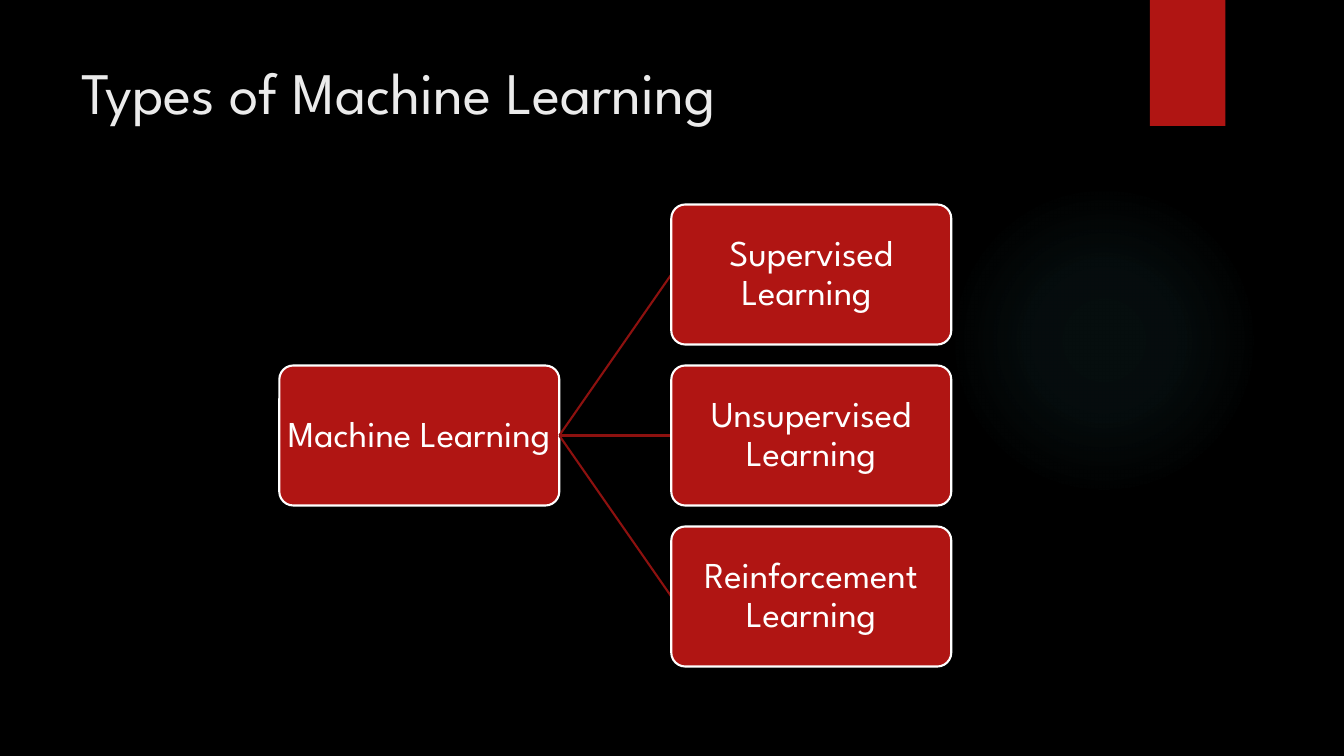
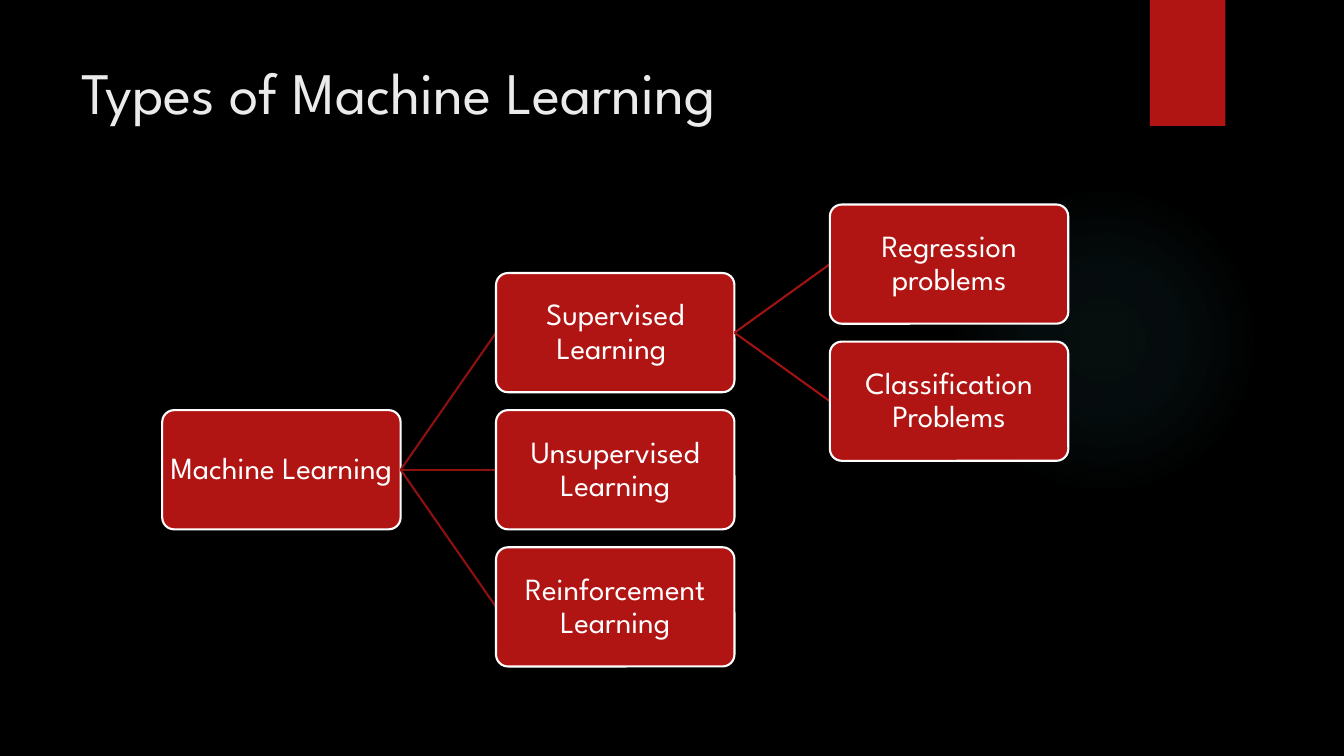
from dataclasses import dataclass

from lxml.etree import SubElement
from pptx import Presentation
from pptx.dml.color import RGBColor
from pptx.enum.shapes import MSO_CONNECTOR, MSO_SHAPE
from pptx.enum.text import MSO_ANCHOR, MSO_AUTO_SIZE, PP_ALIGN
from pptx.oxml import parse_xml
from pptx.oxml.ns import nsdecls, qn
from pptx.util import Inches, Pt


@dataclass(frozen=True)
class Theme:
    font: str = "League Spartan"
    background: str = "000000"
    accent: str = "B01513"
    glow: str = "50B9C1"
    title: str = "EBEBEB"
    text: str = "FFFFFF"
    branches: tuple = ("8D110F", "A01311")
    title_size: int = 42
    line_width: float = 1.5


THEME = Theme()
COLUMNS, ROWS = 160, 90
CELL = Inches(13.333) / COLUMNS

# Diagram area, in grid cells
CENTER, TOP, HEIGHT = 73.25, 24.35, 55
# Box proportions, relative to the box itself
ASPECT, COLUMN_PITCH, ROW_PITCH = 2, 1.4, 1.15


def cells(*lengths):
    return [round(length * CELL) for length in lengths]


def write(shape, text, size, color, align=PP_ALIGN.LEFT, line_spacing=1.0):
    shape.text_frame.text = text
    paragraph = shape.text_frame.paragraphs[0]
    paragraph.alignment = align
    paragraph.line_spacing = line_spacing
    font = paragraph.runs[0].font
    font.name = THEME.font
    font.size = Pt(size)
    font.color.rgb = RGBColor.from_string(color)


presentation = Presentation()
presentation.slide_width, presentation.slide_height = cells(COLUMNS, ROWS)
layout = presentation.slide_layouts.get_by_name("Title Only")

# Each diagram: text size, then nodes as (text, column, row, parent)
diagrams = [
    (26, [
        ("Machine Learning", 0, 1, None),
        ("Supervised Learning ", 1, 0, "Machine Learning"),
        ("Unsupervised Learning", 1, 1, "Machine Learning"),
        ("Reinforcement Learning", 1, 2, "Machine Learning"),
    ]),
    (22, [
        ("Machine Learning", 0, 1.5, None),
        ("Supervised Learning ", 1, 0.5, "Machine Learning"),
        ("Regression problems", 2, 0, "Supervised Learning "),
        ("Classification Problems", 2, 1, "Supervised Learning "),
        ("Unsupervised Learning", 1, 1.5, "Machine Learning"),
        ("Reinforcement Learning", 1, 2.5, "Machine Learning"),
    ]),
]
slides = [presentation.slides.add_slide(layout) for diagram in diagrams]

# Shared look: background, title frame, glow and red tag live on the layout
layout.background.fill.solid()
layout.background.fill.fore_color.rgb = RGBColor.from_string(THEME.background)
title_frame = layout.placeholders[0]
title_frame.left, title_frame.top, title_frame.width, title_frame.height = cells(8.5, 6, 123.5, 18.35)
title_frame.text_frame.vertical_anchor = MSO_ANCHOR.TOP
title_frame.text_frame.auto_size = MSO_AUTO_SIZE.NONE

glow = slides[0].shapes.add_shape(MSO_SHAPE.OVAL, *cells(112.9, 22, 37, 37))
tag = slides[0].shapes.add_shape(MSO_SHAPE.RECTANGLE, *cells(136.9, 0, 9, 15))
for decoration in (tag, glow):
    decoration.shadow.inherit = False
    decoration.line.fill.background()
    decoration.fill.solid()
    decoration.fill.fore_color.rgb = RGBColor.from_string(THEME.accent)
    layout.shapes.element.insert(2, decoration.element)

stops = "".join(
    f'<a:gs pos="{position * 1000}"><a:srgbClr val="{THEME.glow}">'
    f'<a:alpha val="{opacity * 1000}"/></a:srgbClr></a:gs>'
    for position, opacity in ((0, 7), (36, 6), (69, 0))
)
gradient = parse_xml(
    f'<a:gradFill {nsdecls("a")}><a:gsLst>{stops}</a:gsLst><a:path path="circle">'
    '<a:fillToRect l="50000" t="50000" r="50000" b="50000"/></a:path></a:gradFill>'
)
properties = glow.element.spPr
properties.replace(properties.find(qn("a:solidFill")), gradient)

for slide, (text_size, nodes) in zip(slides, diagrams):
    write(slide.shapes.title, "Types of Machine Learning", THEME.title_size, THEME.title)

    last_column = max(column for _, column, _, _ in nodes)
    last_row = max(row for _, _, row, _ in nodes)
    box_height = HEIGHT / (1 + ROW_PITCH * last_row)
    box_width = ASPECT * box_height
    left = CENTER - box_width * (1 + COLUMN_PITCH * last_column) / 2

    boxes = {}
    for text, column, row, parent in nodes:
        x = left + column * COLUMN_PITCH * box_width
        y = TOP + row * ROW_PITCH * box_height
        if parent:
            branch = slide.shapes.add_connector(MSO_CONNECTOR.STRAIGHT, 0, 0, 0, 0)
            branch.line.color.rgb = RGBColor.from_string(THEME.branches[column - 1])
            branch.line.width = Pt(THEME.line_width)
            SubElement(branch.element.spPr, qn("a:effectLst"))

        box = slide.shapes.add_shape(
            MSO_SHAPE.ROUNDED_RECTANGLE, *cells(x, y, box_width, box_height))
        box.adjustments[0] = 0.1
        box.shadow.inherit = False
        box.fill.solid()
        box.fill.fore_color.rgb = RGBColor.from_string(THEME.accent)
        box.line.color.rgb = RGBColor.from_string(THEME.text)
        box.line.width = Pt(THEME.line_width)
        frame = box.text_frame
        frame.word_wrap = True
        frame.vertical_anchor = MSO_ANCHOR.MIDDLE
        frame.margin_left = frame.margin_right = Inches(0.02)
        frame.margin_top = frame.margin_bottom = Inches(0.02)
        write(box, text, text_size, THEME.text, align=PP_ALIGN.CENTER, line_spacing=0.9)
        boxes[text] = box

        if parent:
            branch.begin_connect(boxes[parent], 3)
            branch.end_connect(box, 1)

presentation.save("out.pptx")
